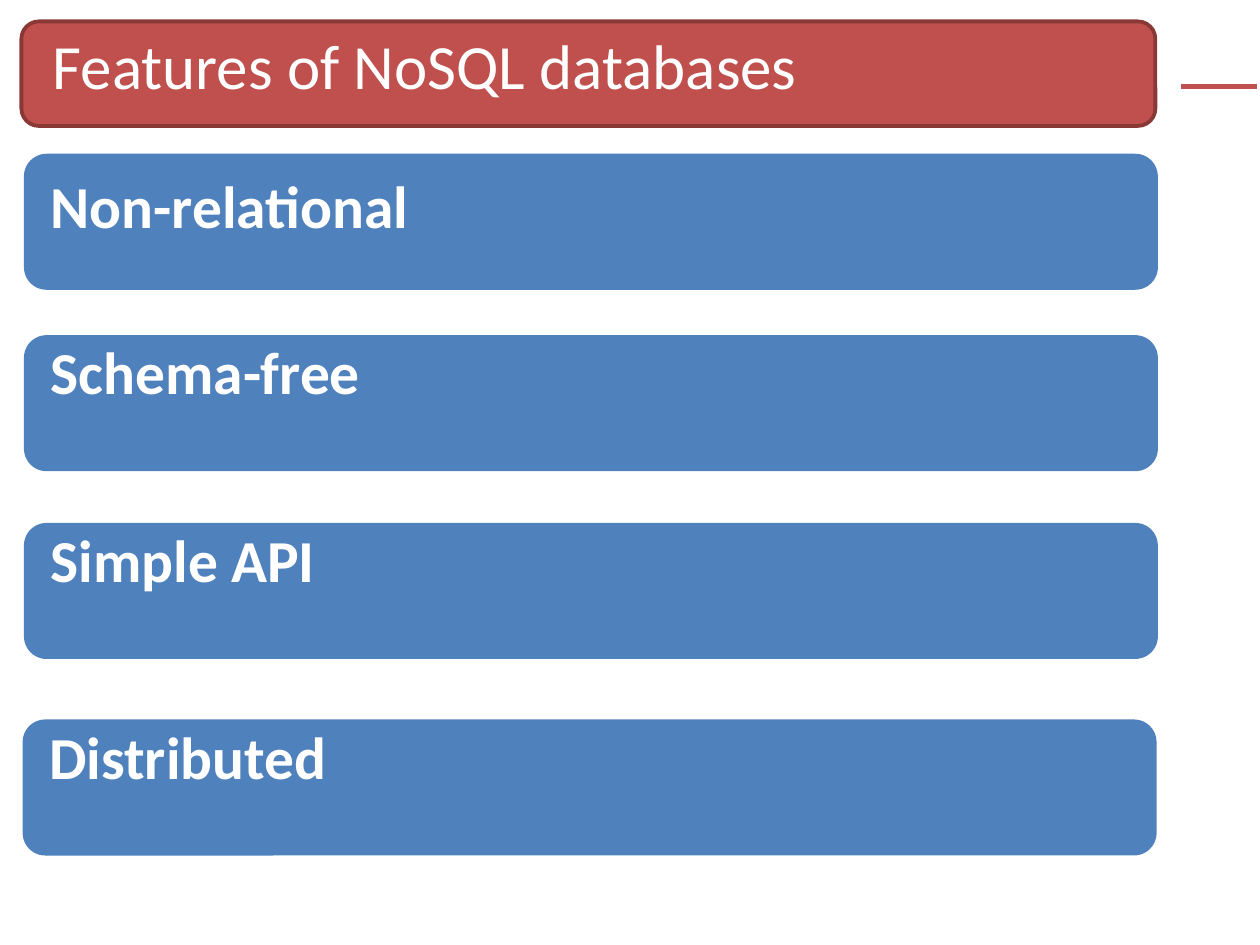
from dataclasses import dataclass

from lxml import etree
from pptx import Presentation
from pptx.dml.color import RGBColor
from pptx.enum.shapes import MSO_SHAPE
from pptx.enum.text import MSO_ANCHOR, MSO_AUTO_SIZE, PP_ALIGN
from pptx.oxml.ns import qn
from pptx.util import Inches, Pt

ROUNDED = MSO_SHAPE.ROUNDED_RECTANGLE
TOP = MSO_ANCHOR.TOP
LEFT = PP_ALIGN.LEFT
NO_AUTOFIT = MSO_AUTO_SIZE.NONE


@dataclass(frozen=True)
class Theme:
    """Colours, font and type sizes of the slide."""
    red: str = "C0504D"
    dark_red: str = "8A3836"
    blue: str = "4F81BC"
    white: str = "FFFFFF"
    font: str = "Calibri"
    title_size: int = 36
    feature_size: int = 34
    number_size: int = 28


THEME = Theme()
CARD_WIDTH, CARD_HEIGHT = 9, 1.08
TEXT_INSET = 0.16
FEATURES = (
    ("Non-relational", 0.19, 1.22, 0.07),
    ("Schema-free", 0.19, 2.66, -0.05),
    ("Simple API", 0.19, 4.15, -0.05),
    ("Distributed", 0.18, 5.71, -0.05),
)


def write_text(frame, text, size, bold=False, left=0, top=0, before=0):
    """Write one white, left-aligned line at the top of a frame and return its run."""
    frame.text = text
    frame.auto_size = NO_AUTOFIT
    frame.word_wrap = True
    frame.vertical_anchor = TOP
    frame.margin_left, frame.margin_top = Inches(left), Inches(top)
    frame.margin_right = frame.margin_bottom = 0
    line = frame.paragraphs[0]
    line.alignment = LEFT
    line.space_before = Pt(before)
    run = line.runs[0]
    run.font.name = THEME.font
    run.font.size = Pt(size)
    run.font.bold = bold
    run.font.color.rgb = RGBColor.from_string(THEME.white)
    return run


def add_card(slide, left, top, height, fill, outline=None):
    """Add a rounded card, outlined if a colour is given."""
    card = slide.shapes.add_shape(
        ROUNDED, Inches(left), Inches(top), Inches(CARD_WIDTH), Inches(height))
    card.shadow.inherit = False
    card.fill.solid()
    card.fill.fore_color.rgb = RGBColor.from_string(fill)
    if outline:
        card.line.color.rgb = RGBColor.from_string(outline)
        card.line.width = Pt(2.16)
    else:
        card.line.fill.background()
    return card


def add_title(slide, text):
    """Place the title in front of its red banner."""
    add_card(slide, 0.17, 0.17, 0.83, THEME.red, THEME.dark_red)
    title = slide.shapes.title
    title.left, title.top = Inches(0.41), Inches(0.2)
    title.width, title.height = Inches(8.5), Inches(0.63)
    write_text(title.text_frame, text, THEME.title_size,
               left=0.01, top=0.01, before=1)
    slide.shapes._spTree.append(title._element)


def add_page_number(slide, text):
    """Add the page number with a red underline."""
    number = slide.shapes.add_textbox(
        Inches(9.36), Inches(0.25), Inches(0.65), Inches(0.5))
    run = write_text(number.text_frame, text, THEME.number_size,
                     left=0.01, top=0.01, before=1.1)
    run.font.underline = True
    properties = run.font._element
    properties.set("spc", "100")
    underline = etree.Element(qn("a:uFill"))
    solid = etree.SubElement(underline, qn("a:solidFill"))
    etree.SubElement(solid, qn("a:srgbClr"), val=THEME.red)
    properties.find(qn("a:solidFill")).addnext(underline)


def add_feature(slide, text, left, top, text_top):
    """Add a blue card that names one feature."""
    card = add_card(slide, left, top, CARD_HEIGHT, THEME.blue)
    write_text(card.text_frame, text, THEME.feature_size, bold=True,
               left=TEXT_INSET, top=text_top)


def main():
    """Build and save the slide."""
    deck = Presentation()
    deck.slide_width, deck.slide_height = Inches(10), Inches(7.5)
    slide = deck.slides.add_slide(deck.slide_layouts.get_by_name("Title Only"))
    add_title(slide, "Features of NoSQL databases")
    add_page_number(slide, " 16 ")
    for feature in FEATURES:
        add_feature(slide, *feature)
    deck.save("out.pptx")


if __name__ == "__main__":
    main()
